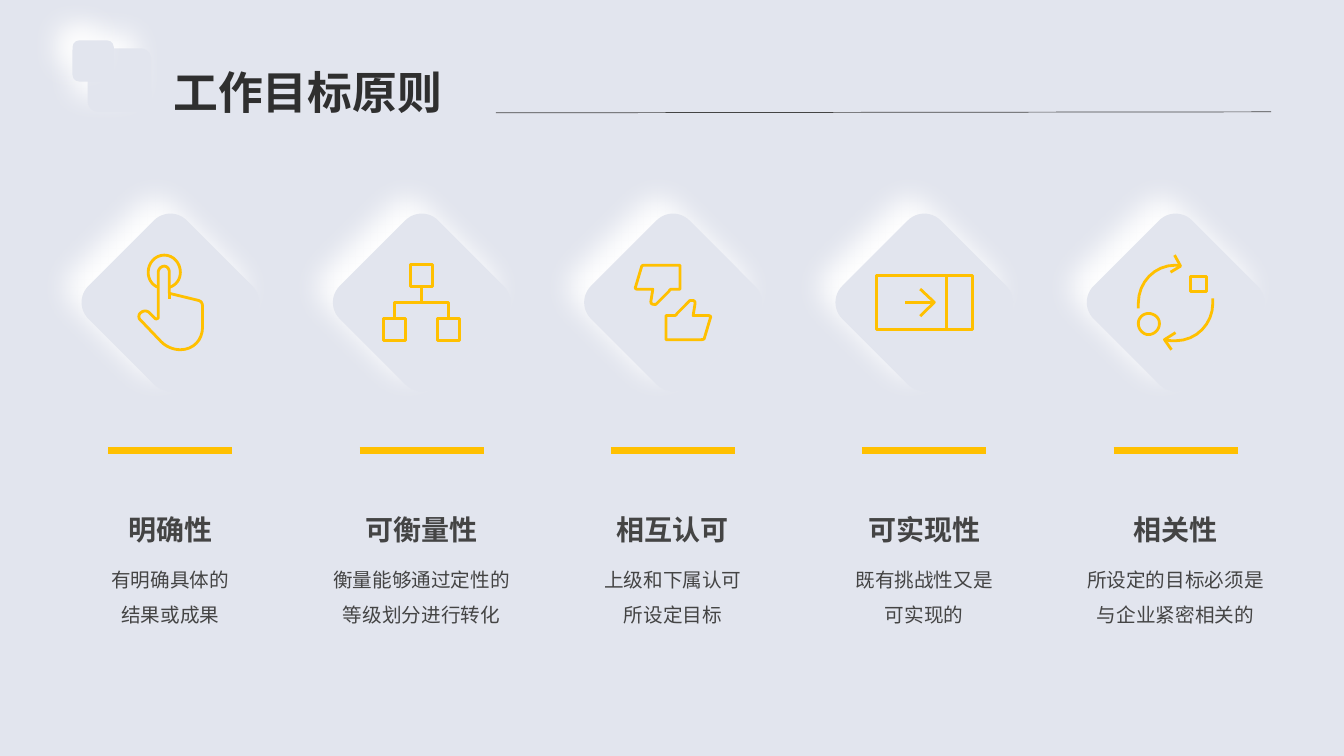
import dataclasses

import lxml.etree
import pptx
import pptx.dml.color
import pptx.enum.shapes
import pptx.enum.text
import pptx.oxml.ns
import pptx.util

Pt = pptx.util.Pt
qn = pptx.oxml.ns.qn
ANCHOR = pptx.enum.text.MSO_ANCHOR
ALIGN = pptx.enum.text.PP_ALIGN
ROUNDED = pptx.enum.shapes.MSO_SHAPE.ROUNDED_RECTANGLE


@dataclasses.dataclass(frozen=True)
class Theme:
    """Colours, font and type sizes of the deck."""
    ground: str = "E2E5EE"
    glow: str = "FFFFFF"
    accent: str = "FFC000"
    title: str = "2F2F2F"
    text: str = "444444"
    font: str = "Noto Sans CJK SC"
    title_size: int = 32
    heading_size: int = 20
    body_size: int = 14


@dataclasses.dataclass(frozen=True)
class Box:
    """A region of the page, in points."""
    left: float
    top: float
    width: float
    height: float

    def lengths(self):
        """Return the four lengths in slide units."""
        return [Pt(value) for value in dataclasses.astuple(self)]


THEME = Theme()

TAP = """M -.7 -6.5 L -.7 -2.2
M -.7 -21.6 C -.7 -23.8 -2.2 -25.9 -4.3 -25.9 C -6.5 -25.9 -8.6 -23.8 -8.6 -21.6
L -8.6 10.8 C -8.6 11.5 -10.1 12.2 -10.8 11.5 L -15.1 7.2
C -16.6 5.8 -19.4 5.8 -20.9 7.2 C -23 8.6 -23 11.5 -20.9 13 L -6.5 28.1
C -2.9 31.7 2.2 33.8 7.2 33.8 C 16.6 33.8 23 26.6 23 18 L 23 2.9
C 23 .7 22.3 -.7 20.2 -1.4 L -.7 -6.5 Z
M -.7 -10.8 C 4.3 -12.2 7.2 -16.6 7.2 -21.6 C 7.2 -28.1 2.2 -33.8 -4.3 -33.8
C -10.8 -33.8 -15.8 -28.1 -15.8 -21.6 C -15.8 -16.6 -13 -12.2 -8.6 -10.8"""
TREE = """M -11.5 27 L -27 27 L -27 11.5 L -11.5 11.5 Z
M 27 11.5 L 11.5 11.5 L 11.5 27 L 27 27 Z
M 7.9 -26.8 L -7.9 -26.8 L -7.9 -11.5 L 7.9 -11.5 Z
M 0 -11.5 L 0 0 M 19.3 11.5 L 19.3 0 L -19.3 0 L -19.3 11.5"""
THUMB = """M 15.8 .7 L 14.4 9.4 L 25.2 9.4 C 26.6 9.4 27.4 10.1 26.6 11.5
L 22.3 25.9 C 21.6 26.6 20.9 26.6 20.2 26.6 L -5 26.6 L -5 9.4 L .7 9.4
C 1.4 9.4 2.2 9.4 2.9 7.9 L 12.2 -1.4 C 12.2 -1.4 13 -1.4 13.7 -1.4
C 15.1 -1.4 15.8 -.7 15.8 .7 Z"""
FORWARD = """M -2.9 -9.5 L 7.2 0 L -2.9 9.8 M 7.2 0 L -13.7 0
M 34.2 -18.9 L -34.2 -18.9 L -34.2 19.3 L 34.2 19.3 Z M 15.8 -18.9 L 15.8 19.3"""
CYCLE = """M -26.6 4.3 C -26.6 2.9 -26.6 2.2 -26.6 .7
C -26.6 -14.4 -15.1 -26.6 0 -26.6 C 1.4 -26.6 2.2 -25.9 3.6 -25.9
M -7.2 26.6 C -5 27.4 -2.9 27.4 0 27.4 C 15.1 27.4 26.6 15.1 26.6 .7
C 26.6 -.7 26.6 -1.4 26.6 -2.9
M 0 21.6 L -7.9 26.6 L -2.9 33.8 M -3.6 -21.6 L 3.6 -25.9 L -.7 -33.8
M 22.3 -18.7 L 10.8 -18.7 L 10.8 -7.9 L 22.3 -7.9 Z
M -19.4 23 C -15.1 23 -11.5 19.4 -11.5 15.1 C -11.5 10.8 -15.1 7.9 -19.4 7.9
C -23 7.9 -26.6 10.8 -26.6 15.1 C -26.6 19.4 -23 23 -19.4 23 Z"""


def half_turn(outline):
    """Return the outline turned by 180 degrees."""
    return " ".join(part if part.isalpha() else str(-float(part)) for part in outline.split())


PRINCIPLES = [
    ("明确性", ["有明确具体的", "结果或成果"], TAP),
    ("可衡量性", ["衡量能够通过定性的等级划分进行转化"], TREE),
    ("相互认可", ["上级和下属认可", "所设定目标"], THUMB + " " + half_turn(THUMB)),
    ("可实现性", ["既有挑战性又是", "可实现的"], FORWARD),
    ("相关性", ["所设定的目标必须是与企业紧密相关的"], CYCLE),
]


def colour(value):
    """Return a colour object for a hex value."""
    return pptx.dml.color.RGBColor.from_string(value)


def apply(target, values):
    """Set each format value on the target."""
    for name, value in values.items():
        setattr(target, name, value)


def write(frame, lines, size, ink, bold=False, spacing=1.5, align=ALIGN.CENTER,
          anchor=ANCHOR.TOP, margin=None):
    """Fill a text frame with formatted paragraphs."""
    apply(frame, {"word_wrap": True, "vertical_anchor": anchor,
                  "auto_size": pptx.enum.text.MSO_AUTO_SIZE.SHAPE_TO_FIT_TEXT})
    if margin is not None:
        apply(frame, {f"margin_{side}": margin for side in ("left", "top", "right", "bottom")})
    for index, line in enumerate(lines):
        para = frame.add_paragraph() if index else frame.paragraphs[0]
        apply(para, {"alignment": align, "line_spacing": spacing, "space_before": Pt(0)})
        span = para.add_run()
        span.text = line
        apply(span.font, {"name": THEME.font, "size": Pt(size), "bold": bold})
        span.font.color.rgb = colour(ink)
        east = lxml.etree.SubElement(span.font._element, qn("a:ea"))
        east.set("typeface", THEME.font)


def add_rule(page, start, end, ink, weight):
    """Draw a straight line between two points."""
    ends = [Pt(value) for value in (*start, *end)]
    rule = page.shapes.add_connector(pptx.enum.shapes.MSO_CONNECTOR.STRAIGHT, *ends)
    rule.line.color.rgb = colour(ink)
    rule.line.width = Pt(weight)
    lxml.etree.SubElement(rule._element.spPr, qn("a:effectLst"))


def add_tile(page, box, rotation=0):
    """Draw a rounded tile lit from the upper left."""
    tile = page.shapes.add_shape(ROUNDED, *box.lengths())
    tile.rotation = rotation
    tile.fill.solid()
    tile.fill.fore_color.rgb = colour(THEME.ground)
    tile.line.fill.background()
    tile.shadow.inherit = False
    effects = tile._element.spPr.find(qn("a:effectLst"))
    glow = lxml.etree.SubElement(effects, qn("a:outerShdw"), blurRad=str(Pt(20)),
                                 dist=str(Pt(15)), dir=str(225 * 60000), rotWithShape="0")
    lxml.etree.SubElement(glow, qn("a:srgbClr"), val=THEME.glow)


def curve(start, first, second, end, steps=8):
    """Return points along a cubic curve, without its start."""
    weights = [((1 - t) ** 3, 3 * t * (1 - t) ** 2, 3 * t * t * (1 - t), t ** 3)
               for t in (step / steps for step in range(1, steps + 1))]
    return [tuple(sum(w * point[axis] for w, point in zip(row, (start, first, second, end)))
                  for axis in (0, 1)) for row in weights]


def contours(outline):
    """Split an outline into lists of points, each with its closed flag."""
    for part in outline.split("M")[1:]:
        closed = "Z" in part
        points = []
        for segment in part.replace("Z", "").replace("L", "|").replace("C", "|").split("|"):
            numbers = [float(number) for number in segment.split()]
            pairs = list(zip(numbers[::2], numbers[1::2]))
            points += curve(points[-1], *pairs) if len(pairs) == 3 else pairs
        yield points, closed


def add_icon(page, centre, middle, outline):
    """Draw a line icon around a centre point."""
    builder = None
    for points, closed in contours(outline):
        placed = [(Pt(centre + x), Pt(middle + y)) for x, y in points]
        if builder is None:
            builder = page.shapes.build_freeform(*placed[0], scale=1.0)
        else:
            builder.move_to(*placed[0])
        builder.add_line_segments(placed[1:], close=closed)
    icon = builder.convert_to_shape()
    icon.fill.background()
    icon.line.color.rgb = colour(THEME.accent)
    icon.line.width = Pt(2)
    icon.shadow.inherit = False


def add_header(page, box):
    """Place the tiles, the title and its rule in the header box."""
    add_tile(page, Box(box.left + 10.8, box.top + 5.7, 45.4, 45.4))
    add_tile(page, Box(box.left, box.top, 29.5, 29.5))
    title = page.shapes.title
    names = ("left", "top", "width", "height")
    apply(title, dict(zip(names, Box(box.left + 72, box.top + 21.6, 457, 34.6).lengths())))
    write(title.text_frame, ["工作目标原则"], THEME.title_size, THEME.title, bold=True,
          spacing=0.9, align=ALIGN.LEFT, anchor=ANCHOR.MIDDLE, margin=0)
    add_rule(page, (box.left + 302.4, box.top + 51.8),
             (box.left + box.width, box.top + 51.1), THEME.text, 0.5)


def add_principle(page, box, heading, lines, outline):
    """Place tile, icon, bar, heading and text in one column box."""
    centre = box.left + box.width / 2
    side, bar, label = 99.4, 88.6, 111
    add_tile(page, Box(centre - side / 2, box.top, side, side), rotation=45)
    add_icon(page, centre, box.top + side / 2, outline)
    level = box.top + 155.5
    add_rule(page, (centre - bar / 2, level), (centre + bar / 2, level), THEME.accent, 4.5)
    for area, texts, size, options in (
            (Box(centre - label / 2, box.top + 188, label, 39.6), [heading], THEME.heading_size,
             {"bold": True, "anchor": ANCHOR.BOTTOM}),
            (Box(box.left, box.top + 231, box.width, 48.4), lines, THEME.body_size,
             {"margin": 0})):
        frame = page.shapes.add_textbox(*area.lengths()).text_frame
        write(frame, texts, size, THEME.text, **options)


def main():
    """Build and save the deck."""
    deck = pptx.Presentation()
    apply(deck, {"slide_width": Pt(960), "slide_height": Pt(540)})
    page = deck.slides.add_slide(deck.slide_layouts[5])
    page.background.fill.solid()
    page.background.fill.fore_color.rgb = colour(THEME.ground)
    add_header(page, Box(51.8, 28.8, 856.1, 56))
    for index, principle in enumerate(PRINCIPLES):
        add_principle(page, Box(58 + 179.5 * index, 166.3, 127.4, 280), *principle)
    deck.save("out.pptx")


if __name__ == "__main__":
    main()
